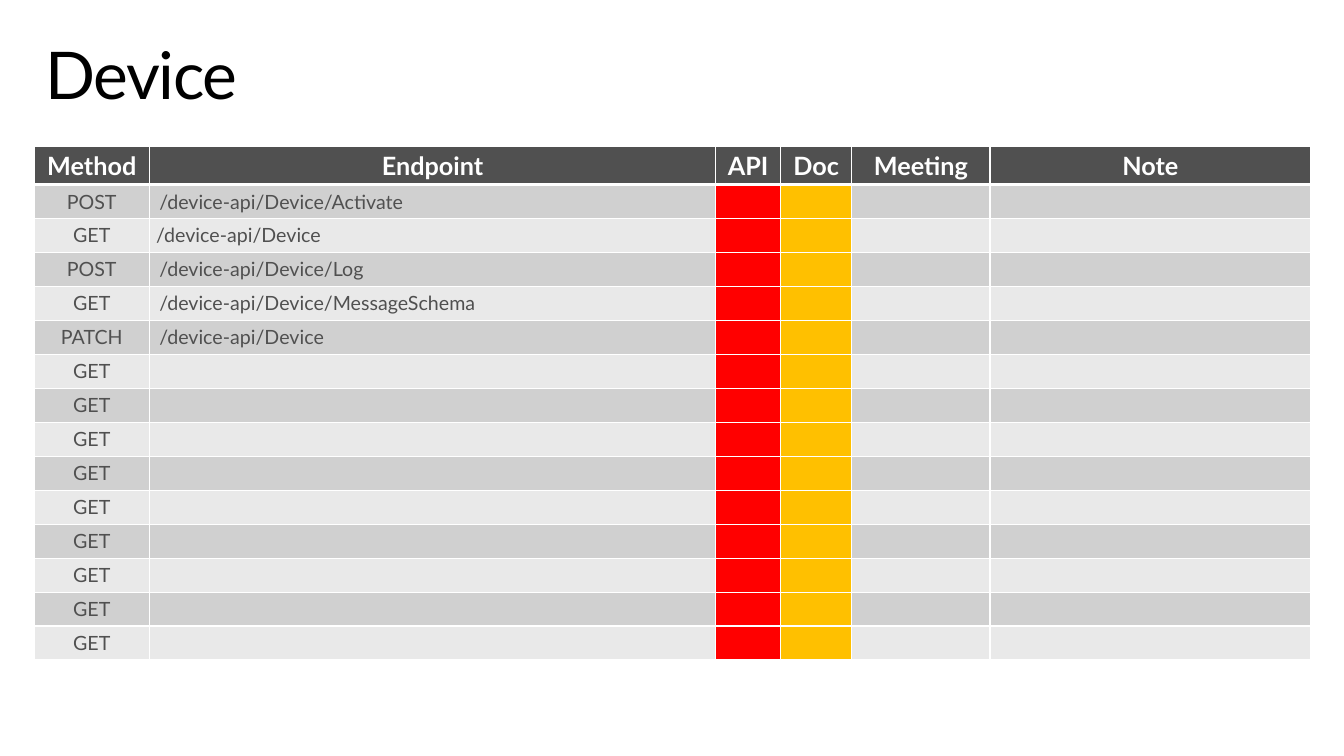
from lxml.etree import SubElement as Sub
from pptx import Presentation
from pptx.dml.color import RGBColor as RGB
from pptx.enum.text import MSO_ANCHOR as Anchor, PP_ALIGN as Align
from pptx.oxml.ns import qn
from pptx.util import Inches, Pt

INK = {"title": "000000", "head": "505050", "text": "505050", "line": "FFFFFF",
       "odd": "D0D0D0", "even": "E9E9E9", "api": "FF0000", "doc": "FFC000"}
HEADS = ["Method", "Endpoint", "API", "Doc", "Meeting", "Note"]
WIDTHS = [1.14, 5.62, 0.64, 0.71, 1.37, 3.18]
CALLS = [("POST", "/device-api/Device/Activate"),
         ("GET", "/device-api/Device"),
         ("POST", "/device-api/Device/Log"),
         ("GET", "/device-api/Device/MessageSchema"),
         ("PATCH", "/device-api/Device")] + [("GET", "")] * 9
HEAD = {"size": Pt(18), "bold": True, "name": "Lato"}
BODY = {"size": Pt(14), "bold": False, "name": "Lato"}


def apply(item, form):
    for key, value in form.items():
        setattr(item, key, value)


def write(par, text, form, ink):
    run = par.add_run()
    run.text = text
    apply(run.font, form)
    run.font.color.rgb = RGB.from_string(INK[ink])
    return run


def pad(box, side, end):
    apply(box, {"margin_left": Inches(side), "margin_right": Inches(side),
                "margin_top": Inches(end), "margin_bottom": Inches(end)})


def border(cell, top, bottom):
    props = cell._tc.get_or_add_tcPr()
    for side, width in {"L": 1, "R": 1, "T": top, "B": bottom}.items():
        line = Sub(props, qn(f"a:ln{side}"), w=str(Pt(width)))
        Sub(Sub(line, qn("a:solidFill")), qn("a:srgbClr"), val=INK["line"])


def fill_cell(cell, text, row, col):
    head = row == 0
    form = HEAD if head else BODY
    # Borders and fill
    border(cell, 3 if row == 1 else 1, 3 if head else 1)
    band = "odd" if row % 2 else "even"
    ink = "head" if head else {2: "api", 3: "doc"}.get(col, band)
    cell.fill.solid()
    cell.fill.fore_color.rgb = RGB.from_string(INK[ink])
    # Text
    pad(cell, 0.1, 0.04 if head else 0.05)
    cell.vertical_anchor = Anchor.MIDDLE
    par = cell.text_frame.paragraphs[0]
    par.alignment = Align.CENTER if head or col == 0 else Align.LEFT
    if text:
        write(par, text, form, "line" if head else "text")
    else:
        Sub(par._p, qn("a:endParaRPr"), sz=str(int(form["size"].pt * 100)))


def add_title(slide):
    title = slide.shapes.title
    apply(title, {"left": Inches(0.29), "top": Inches(0.32),
                  "width": Inches(12.75), "height": Inches(0.98)})
    frame = title.text_frame
    pad(frame, 0.16, 0.1)
    apply(frame, {"vertical_anchor": Anchor.TOP, "word_wrap": True})
    par = frame.paragraphs[0]
    apply(par, {"alignment": Align.LEFT, "line_spacing": 0.9})
    run = write(par, "Device", {"size": Pt(47), "name": "Lato"}, "title")
    run.font._element.set("spc", "-100")


def add_grid(slide):
    rows = [HEADS] + [[*call, "", "", "", ""] for call in CALLS]
    grid = slide.shapes.add_table(len(rows), len(HEADS), Inches(0.34), Inches(1.45),
                                  Inches(12.66), Inches(5)).table
    grid.horz_banding = False
    for col, width in zip(grid.columns, WIDTHS):
        col.width = Inches(width)
    for r, texts in enumerate(rows):
        grid.rows[r].height = Inches(0.33 if r else 0.38)
        for c, text in enumerate(texts):
            fill_cell(grid.cell(r, c), text, r, c)
    # The second endpoint sits closer to its edge
    pad(grid.cell(2, 1), 0.07, 0)


def main():
    deck = Presentation()
    apply(deck, {"slide_width": Inches(13.33), "slide_height": Inches(7.5)})
    slide = deck.slides.add_slide(deck.slide_layouts[5])
    add_grid(slide)
    add_title(slide)
    deck.save("out.pptx")


if __name__ == "__main__":
    main()
